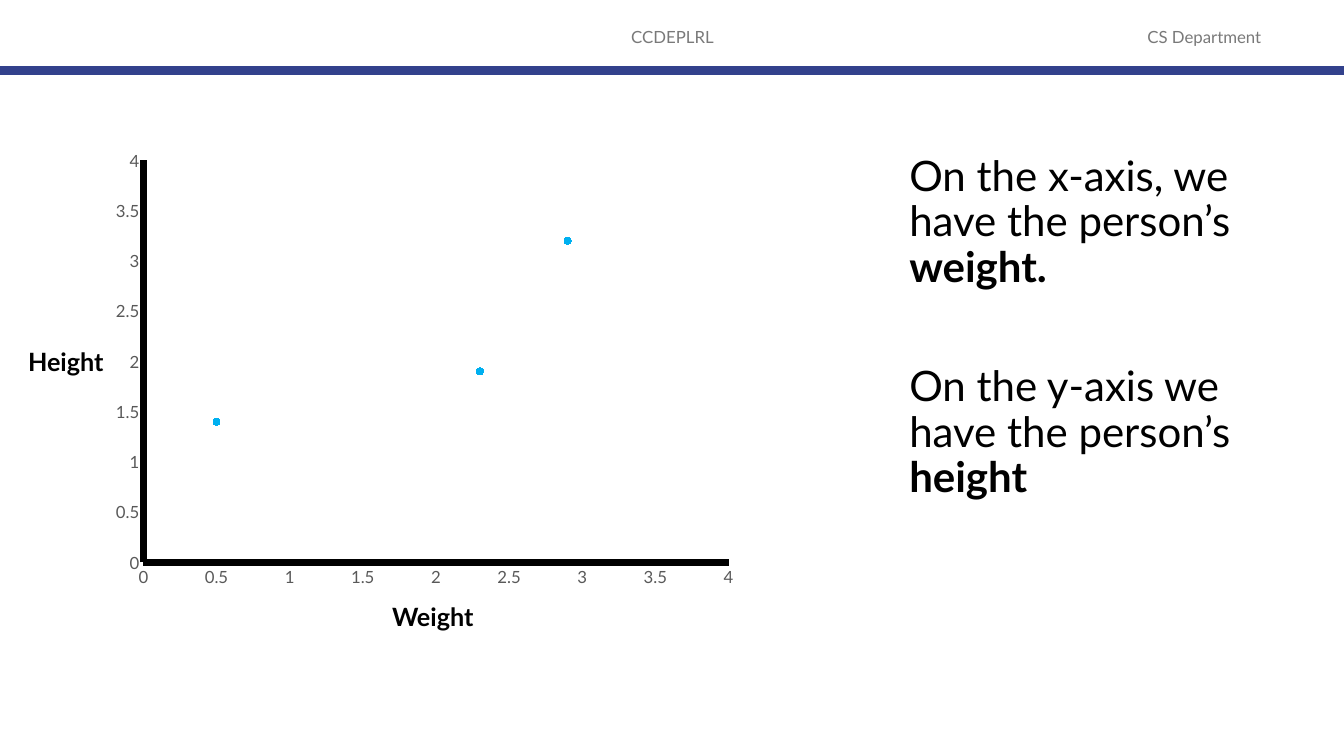
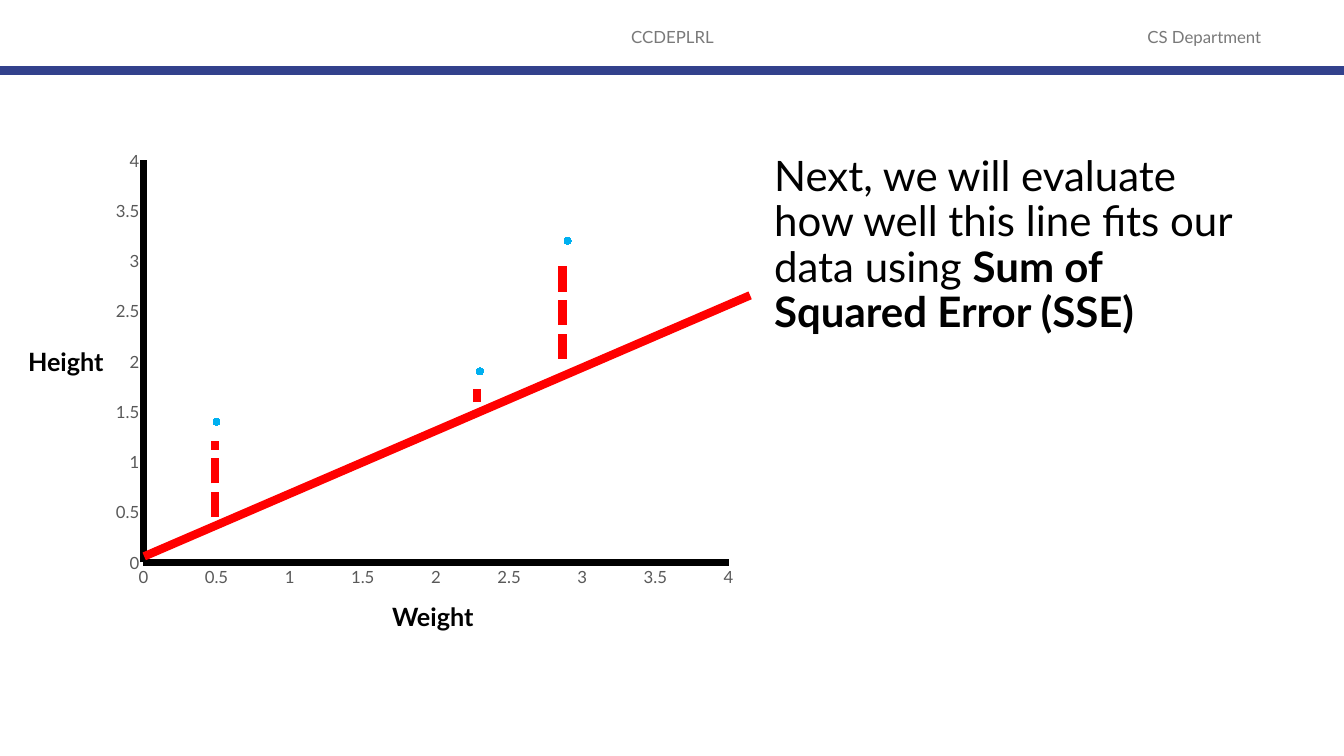
from dataclasses import dataclass

import pptx
import pptx.chart.data
import pptx.dml.color
import pptx.enum.chart
import pptx.enum.dml
import pptx.enum.shapes
import pptx.enum.text
import pptx.oxml
import pptx.oxml.ns
import pptx.util
from pptx.util import Inches, Pt

RGB = pptx.dml.color.RGBColor
ALIGN = pptx.enum.text.PP_ALIGN


@dataclass(frozen=True)
class Theme:
    font: str = "Lato"
    ink: RGB = RGB(0, 0, 0)
    grey: RGB = RGB(0x79, 0x79, 0x79)
    tick: RGB = RGB(0x59, 0x59, 0x59)
    band: RGB = RGB(0x32, 0x41, 0x8C)
    dot: RGB = RGB(0x00, 0xB0, 0xF0)
    fit: RGB = RGB(0xFF, 0, 0)
    small: int = 12
    label: int = 18
    body: int = 30
    stroke: int = 6
    axis: int = 5
    leading: float = 0.9
    gap: int = 53


@dataclass(frozen=True)
class Box:
    left: float
    top: float
    width: float
    height: float

    def lengths(self) -> tuple:
        return tuple(map(Inches, (self.left, self.top, self.width, self.height)))


@dataclass(frozen=True)
class Line:
    x1: float
    y1: float
    x2: float
    y2: float
    color: RGB
    dashed: bool = False


@dataclass(frozen=True)
class Label:
    text: str
    box: Box


@dataclass(frozen=True)
class Point:
    weight: float
    height: float


@dataclass(frozen=True)
class Claim:
    plain: str
    bold: str


THEME = Theme()
WIDTH, HEIGHT = 13.33, 7.5
HEADS = (
    Label("CCDEPLRL", Box(4.42, 0.17, 4.5, 0.4)),
    Label("CS Department", Box(10.92, 0.17, 2.05, 0.4)),
)
NAMES = (
    Label("Weight", Box(3.79, 5.92, 1.02, 0.4)),
    Label("Height", Box(0.18, 3.39, 0.96, 0.4)),
)
POINTS = (Point(0.5, 1.4), Point(2.3, 1.9), Point(2.9, 3.2))
PLOT = Box(1.15, 1.49, 6.15, 4.43)
INNER = {"x": 0.043, "y": 0.023, "w": 0.945, "h": 0.9}
FIT = Line(7.44, 2.93, 1.43, 5.52, THEME.fit)
ERRORS = tuple(
    Line(x, low, x, high, THEME.fit, True)
    for x, low, high in ((2.13, 5.13, 4.38), (5.58, 3.56, 2.63), (4.73, 3.99, 3.86))
)


def style(font, size: int, color: RGB, bold: bool = False) -> None:
    font.name = THEME.font
    font.size = Pt(size)
    font.color.rgb = color
    font.bold = bold


def draw_line(slide, line: Line) -> None:
    ends = map(Inches, (line.x1, line.y1, line.x2, line.y2))
    shape = slide.shapes.add_connector(pptx.enum.shapes.MSO_CONNECTOR.STRAIGHT, *ends)
    shape.line.color.rgb = line.color
    shape.line.width = Pt(THEME.stroke)
    if line.dashed:
        shape.line.dash_style = pptx.enum.dml.MSO_LINE.SQUARE_DOT
        dash = shape.line._ln.find(pptx.oxml.ns.qn("a:prstDash"))
        dash.set("val", "sysDash")
    # An empty effect list turns off the shadow
    shape._element.spPr.append(
        pptx.oxml.parse_xml(f"<a:effectLst {pptx.oxml.ns.nsdecls('a')}/>")
    )


def draw_label(slide, label: Label, size: int, color: RGB, bold: bool):
    frame = slide.shapes.add_textbox(*label.box.lengths()).text_frame
    frame.text = label.text
    style(frame.paragraphs[0].runs[0].font, size, color, bold)
    return frame


def draw_head(slide) -> None:
    for head in HEADS:
        frame = draw_label(slide, head, THEME.small, THEME.grey, False)
        frame.word_wrap = True
        frame.vertical_anchor = pptx.enum.text.MSO_ANCHOR.MIDDLE
        frame.paragraphs[0].alignment = ALIGN.CENTER
    draw_line(slide, Line(0, 0.7, WIDTH, 0.7, THEME.band))


def draw_body(slide, box: Box, claims: tuple[Claim, ...]) -> None:
    frame = slide.shapes.add_textbox(*box.lengths()).text_frame
    frame.word_wrap = True
    for index, claim in enumerate(claims):
        para = frame.add_paragraph() if index else frame.paragraphs[0]
        para.line_spacing = THEME.leading
        para.space_before = Pt(THEME.gap if index else 0)
        for text, bold in ((claim.plain, False), (claim.bold, True)):
            run = para.add_run()
            run.text = text
            style(run.font, THEME.body, THEME.ink, bold)


def set_plot(chart) -> None:
    """Fix the inner plot area as fractions of the chart."""
    area = chart._chartSpace.chart.plotArea
    for old in area.findall(pptx.oxml.ns.qn("c:layout")):
        area.remove(old)
    modes = "".join(f'<c:{key}Mode val="edge"/>' for key in "xy")
    sizes = "".join(f'<c:{key} val="{val}"/>' for key, val in INNER.items())
    area.insert(0, pptx.oxml.parse_xml(
        f"<c:layout {pptx.oxml.ns.nsdecls('c')}><c:manualLayout>"
        f'<c:layoutTarget val="inner"/>{modes}{sizes}'
        "</c:manualLayout></c:layout>"
    ))


def draw_chart(slide) -> None:
    data = pptx.chart.data.XyChartData()
    values = data.add_series("Series 1")
    for point in POINTS:
        values.add_data_point(point.weight, point.height)
    kind = pptx.enum.chart.XL_CHART_TYPE.XY_SCATTER
    chart = slide.shapes.add_chart(kind, *PLOT.lengths(), data).chart
    chart.has_title = chart.has_legend = False
    style(chart.font, THEME.small, THEME.ink)
    set_plot(chart)

    # Axes
    for axis in (chart.category_axis, chart.value_axis):
        axis.minimum_scale, axis.maximum_scale, axis.major_unit = 0, 4, 0.5
        axis.has_major_gridlines = axis.has_minor_gridlines = False
        none = pptx.enum.chart.XL_TICK_MARK.NONE
        axis.major_tick_mark = axis.minor_tick_mark = none
        axis.format.line.color.rgb = THEME.ink
        axis.format.line.width = Pt(THEME.axis)
        axis.tick_labels.number_format = "General"
        axis.tick_labels.number_format_is_linked = False
        style(axis.tick_labels.font, THEME.small, THEME.tick)

    # Dots
    chart.plots[0].vary_by_categories = False
    series = chart.plots[0].series[0]
    series.smooth = False
    series.format.line.fill.background()
    marker = series.marker
    marker.style = pptx.enum.chart.XL_MARKER_STYLE.CIRCLE
    marker.size = 5
    marker.format.fill.solid()
    marker.format.fill.fore_color.rgb = THEME.dot
    marker.format.line.color.rgb = THEME.dot


def add_slide(deck, box: Box, claims: tuple[Claim, ...], lines: tuple[Line, ...] = ()) -> None:
    slide = deck.slides.add_slide(deck.slide_layouts[6])
    draw_head(slide)
    draw_body(slide, box, claims)
    draw_chart(slide)
    for name in NAMES:
        draw_label(slide, name, THEME.label, THEME.ink, True).word_wrap = False
    for line in lines:
        draw_line(slide, line)


def main() -> None:
    deck = pptx.Presentation()
    deck.slide_width, deck.slide_height = Inches(WIDTH), Inches(HEIGHT)

    # Axes explained
    add_slide(deck, Box(8.92, 1.49, 3.48, 3.6), (
        Claim("On the x-axis, we have the person’s ", "weight."),
        Claim("On the y-axis we have the person’s ", "height"),
    ))

    # Line and its errors
    add_slide(deck, Box(7.58, 1.49, 4.96, 1.9), (
        Claim("Next, we will evaluate how well this line fits our data using ",
              "Sum of Squared Error (SSE)"),
    ), (FIT, *ERRORS))

    deck.save("out.pptx")


if __name__ == "__main__":
    main()
